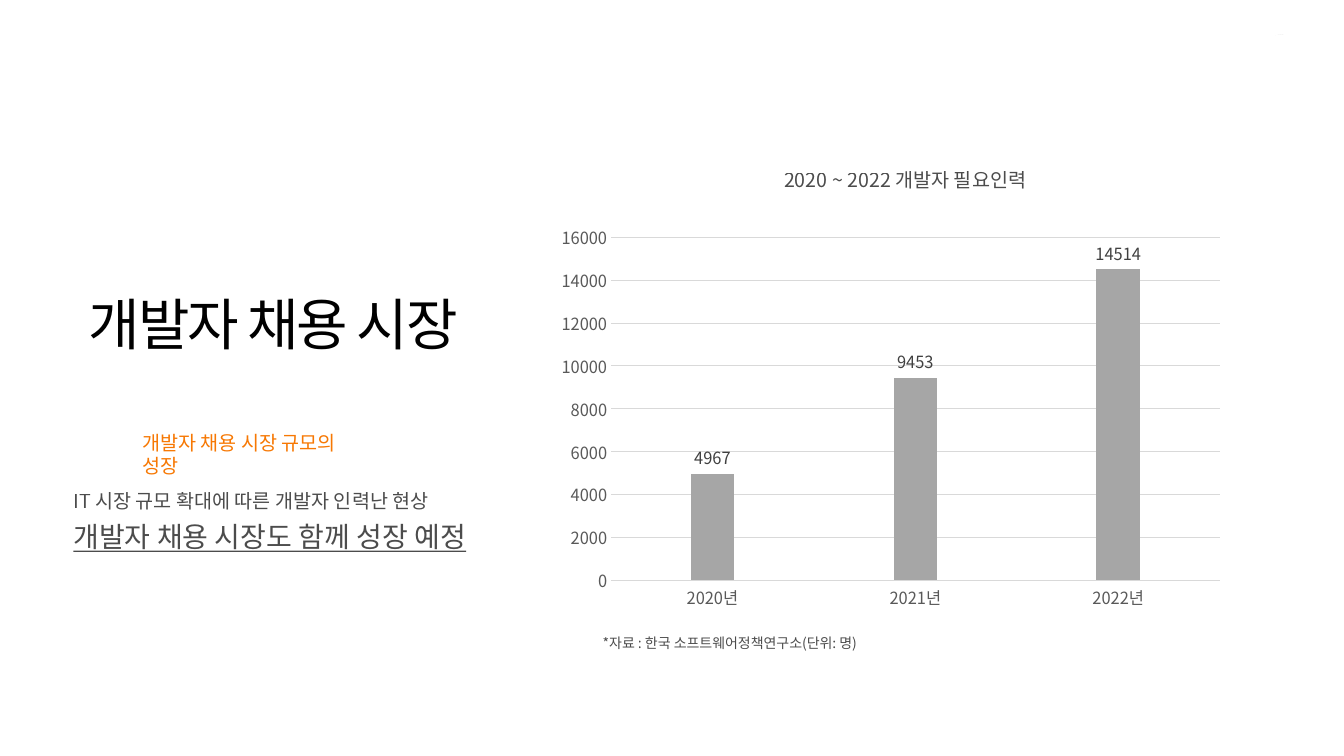
from dataclasses import dataclass
from typing import Optional

from lxml.etree import SubElement
from pptx import Presentation
from pptx.chart.data import CategoryChartData
from pptx.dml.color import RGBColor
from pptx.enum.chart import XL_CHART_TYPE, XL_LABEL_POSITION, XL_TICK_MARK
from pptx.enum.shapes import MSO_SHAPE
from pptx.enum.text import MSO_ANCHOR, MSO_AUTO_SIZE, PP_ALIGN
from pptx.oxml.ns import qn
from pptx.util import Cm, Pt

FACE = "Noto Sans CJK KR"
BLACK = RGBColor(0x00, 0x00, 0x00)
WHITE = RGBColor(0xFF, 0xFF, 0xFF)
ORANGE = RGBColor(0xF7, 0x78, 0x03)
BAR = RGBColor(0xA6, 0xA6, 0xA6)
GRID = RGBColor(0xD9, 0xD9, 0xD9)
AXIS = RGBColor(0x59, 0x59, 0x59)
LABEL = RGBColor(0x40, 0x40, 0x40)


@dataclass
class Line:
    """One paragraph of a text box."""
    text: str
    size: float = 14
    color: RGBColor = BLACK
    alpha: Optional[int] = 70
    under: Optional[bool] = None
    space: Optional[float] = 1.2


@dataclass
class Box:
    """A text box with its place in centimetres."""
    left: float
    top: float
    width: float
    height: float
    lines: list[Line]


@dataclass
class Dot:
    """An ellipse with its place in centimetres."""
    left: float
    top: float
    width: float
    height: float
    color: RGBColor
    alpha: Optional[int] = None


DOTS = [
    Dot(31.83, 0.86, 1.02, 1.02, BLACK, 10),
    Dot(31.5, 0.86, 1.85, 1.37, WHITE),
]
BOXES = [
    Box(1.85, 12.07, 10.08, 2.01, [
        Line("IT 시장 규모 확대에 따른 개발자 인력난 현상"),
        Line("개발자 채용 시장도 함께 성장 예정", size=20, under=True),
    ]),
    Box(3.58, 10.72, 5.64, 0.86, [
        Line("개발자 채용 시장 규모의 성장", color=ORANGE, alpha=None, space=None),
    ]),
    Box(15.19, 15.77, 9.45, 0.76, [
        Line("*자료 : 한국 소프트웨어정책연구소(단위: 명)", size=10),
    ]),
    Box(19.76, 3.99, 9.75, 0.97, [Line("2020 ~ 2022 개발자 필요인력")]),
]
NEED = {"2020년": 4967, "2021년": 9453, "2022년": 14514}
PLOT = {"x": 0.054, "y": 0.136, "w": 0.919, "h": 0.694}


def fade(node, alpha: Optional[int]) -> None:
    """Set the opacity, in percent, of the colour inside a node."""
    if alpha is not None:
        color = node.find(".//" + qn("a:srgbClr"))
        SubElement(color, qn("a:alpha")).set("val", str(alpha * 1000))


def style(font, size: float, color: RGBColor) -> None:
    """Give a font its face, size and colour."""
    font.size = Pt(size)
    font.color.rgb = color
    font.name = FACE
    SubElement(font._element, qn("a:ea")).set("typeface", FACE)


def write(para, text: str, *, size: float, color: RGBColor,
          alpha: Optional[int] = None, under: Optional[bool] = None,
          space: Optional[float] = None, align=None,
          track: Optional[float] = None) -> None:
    """Write one formatted run into a paragraph."""
    para.alignment = align
    para.line_spacing = space
    run = para.add_run()
    run.text = text
    style(run.font, size, color)
    run.font.underline = under
    node = run.font._element
    fade(node, alpha)
    if track is not None:
        node.set("spc", str(round(track * 100)))


def inset(frame, top: float, low: float) -> None:
    """Set the margins and wrapping of a text frame."""
    frame.margin_left = frame.margin_right = 0
    frame.margin_top, frame.margin_bottom = Cm(top), Cm(low)
    frame.word_wrap = True
    frame.vertical_anchor = MSO_ANCHOR.TOP


def place(item) -> tuple:
    """Return the frame of an item as lengths."""
    return Cm(item.left), Cm(item.top), Cm(item.width), Cm(item.height)


def add_dot(slide, dot: Dot) -> None:
    """Draw an ellipse without outline."""
    shape = slide.shapes.add_shape(MSO_SHAPE.OVAL, *place(dot))
    shape.shadow.inherit = False
    shape.fill.solid()
    shape.fill.fore_color.rgb = dot.color
    fade(shape._element.spPr, dot.alpha)
    shape.line.fill.background()


def add_box(slide, box: Box) -> None:
    """Draw a text box."""
    frame = slide.shapes.add_textbox(*place(box)).text_frame
    inset(frame, 0.13, 0.13)
    frame.auto_size = MSO_AUTO_SIZE.SHAPE_TO_FIT_TEXT
    for pos, line in enumerate(box.lines):
        para = frame.add_paragraph() if pos else frame.paragraphs[0]
        write(para, line.text, size=line.size, color=line.color,
              alpha=line.alpha, under=line.under, space=line.space)


def add_title(slide) -> None:
    """Place and fill the title."""
    title = slide.shapes.title
    title.left, title.top = Cm(1.07), Cm(6.76)
    title.width, title.height = Cm(11.63), Cm(2.67)
    frame = title.text_frame
    inset(frame, 0.53, 0)
    frame.auto_size = MSO_AUTO_SIZE.NONE
    write(frame.paragraphs[0], "개발자 채용 시장", size=40, color=BLACK,
          align=PP_ALIGN.CENTER, track=-1.5)


def set_plot(chart) -> None:
    """Fix the inner plot area of a chart."""
    area = chart._chartSpace.chart.plotArea
    for old in area.findall(qn("c:layout")):
        area.remove(old)
    outer = SubElement(area, qn("c:layout"))
    area.insert(0, outer)
    layout = SubElement(outer, qn("c:manualLayout"))
    rules = {"layoutTarget": "inner", "xMode": "edge", "yMode": "edge", **PLOT}
    for tag, val in rules.items():
        SubElement(layout, qn("c:" + tag)).set("val", str(val))


def add_chart(slide) -> None:
    """Draw the column chart of developers needed."""
    data = CategoryChartData()
    data.categories = list(NEED)
    data.add_series("Series 1", list(NEED.values()))
    chart = slide.shapes.add_chart(
        XL_CHART_TYPE.COLUMN_CLUSTERED,
        Cm(14.15), Cm(4.29), Cm(17.04), Cm(12.45), data).chart
    chart.has_legend = chart.has_title = False
    chart.font.size, chart.font.name = Pt(12), "Open Sans"
    chart.font.color.rgb = BLACK
    set_plot(chart)
    cat, val = chart.category_axis, chart.value_axis
    for axis in (cat, val):
        axis.major_tick_mark = axis.minor_tick_mark = XL_TICK_MARK.NONE
        style(axis.tick_labels.font, 12, AXIS)
    val.minimum_scale, val.maximum_scale, val.major_unit = 0, 16000, 2000
    val.format.line.fill.background()
    for line in (cat.format.line, val.major_gridlines.format.line):
        line.color.rgb, line.width = GRID, Pt(0.75)
    plot = chart.plots[0]
    plot.gap_width, plot.vary_by_categories = 364, False
    bars = plot.series[0]
    bars.format.fill.solid()
    bars.format.fill.fore_color.rgb = BAR
    labels = bars.data_labels
    labels.show_value = True
    labels.position = XL_LABEL_POSITION.OUTSIDE_END
    style(labels.font, 12, LABEL)


def main() -> None:
    """Build and save the slide."""
    deck = Presentation()
    deck.slide_width, deck.slide_height = Cm(33.87), Cm(19.05)
    slide = deck.slides.add_slide(deck.slide_layouts[5])
    add_title(slide)
    add_chart(slide)
    for dot in DOTS:
        add_dot(slide, dot)
    for box in BOXES:
        add_box(slide, box)
    deck.save("out.pptx")


if __name__ == "__main__":
    main()
